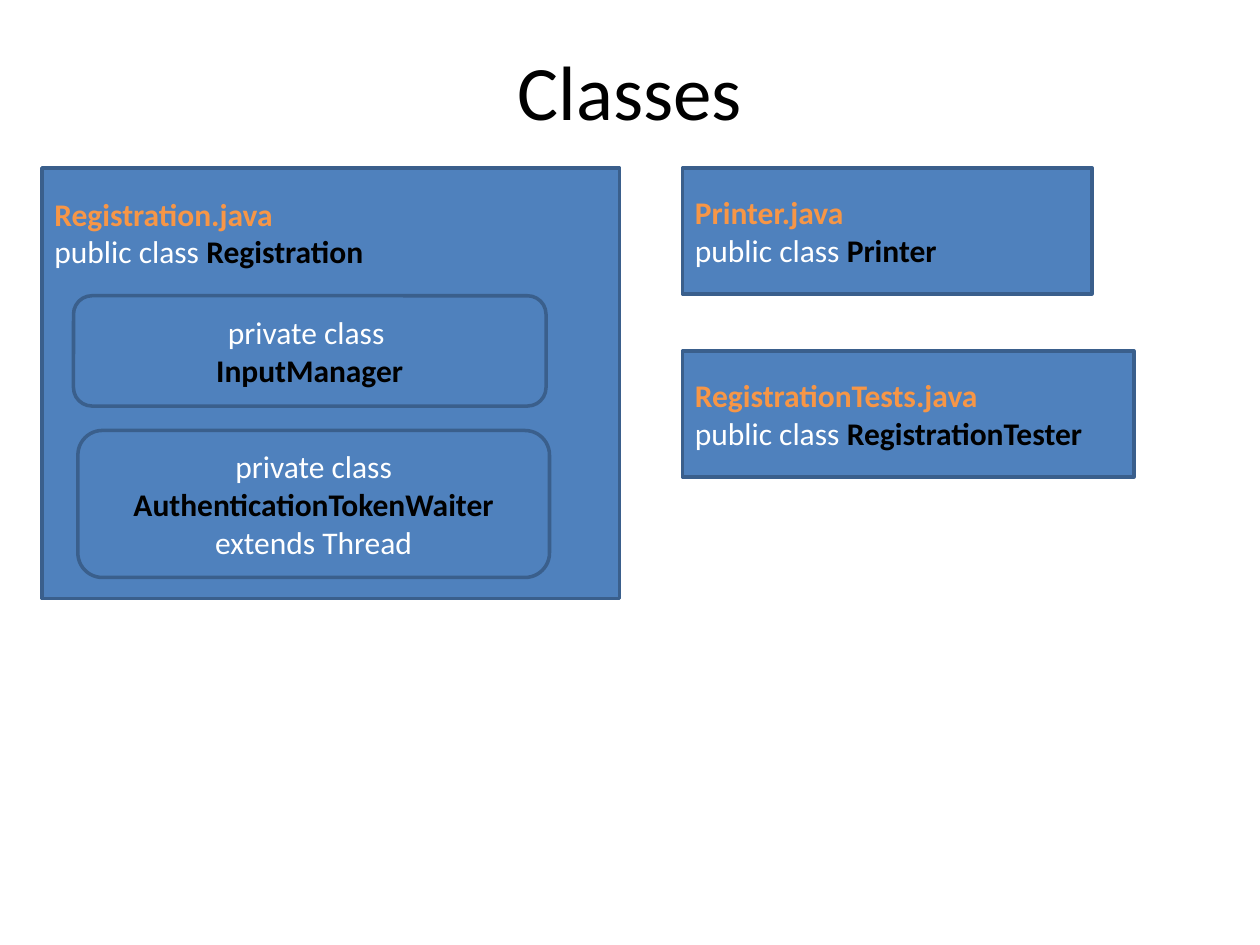
from dataclasses import dataclass

from pptx import Presentation
from pptx.dml.color import RGBColor
from pptx.enum.shapes import MSO_SHAPE as Shape
from pptx.enum.text import MSO_ANCHOR as Anchor, PP_ALIGN as Align
from pptx.slide import Slide
from pptx.text.text import TextFrame
from pptx.util import Pt

COLORS = {
    "title": "000000",
    "box": "4F81BD",
    "border": "3A5F8C",
    "file": "F79646",
    "code": "FFFFFF",
    "name": "000000",
}
BOLD = {"file", "name"}
Line = list[tuple[str, str]]


@dataclass
class ClassBox:
    left: float
    top: float
    width: float
    height: float
    lines: list[Line]
    shape: Shape = Shape.RECTANGLE
    align: Align = Align.LEFT
    anchor: Anchor = Anchor.MIDDLE
    top_inset: float = 3.6


def file_lines(file: str, name: str) -> list[Line]:
    return [[(file, "file")], [("public class ", "code"), (name, "name")]]


BOXES = [
    ClassBox(24, 96, 330, 246, file_lines("Registration.java", "Registration"),
             anchor=Anchor.TOP, top_inset=15.2),
    ClassBox(44.5, 246, 269.5, 84,
             [[("private class ", "code"), ("AuthenticationTokenWaiter", "name"),
               (" extends Thread", "code")]],
             Shape.ROUNDED_RECTANGLE, Align.CENTER),
    ClassBox(42, 169, 270, 63,
             [[("private class ", "code")], [("InputManager", "name")]],
             Shape.ROUNDED_RECTANGLE, Align.CENTER),
    ClassBox(390, 96, 234, 72, file_lines("Printer.java", "Printer")),
    ClassBox(390, 200.6, 258, 72,
             file_lines("RegistrationTests.java", "RegistrationTester")),
]


def write_lines(tf: TextFrame, lines: list[Line], size: float, align: Align) -> None:
    for i, line in enumerate(lines):
        p = tf.add_paragraph() if i else tf.paragraphs[0]
        p.alignment = align
        for text, style in line:
            r = p.add_run()
            r.text = text
            r.font.name = "Calibri"
            r.font.size = Pt(size)
            r.font.bold = style in BOLD
            r.font.color.rgb = RGBColor.from_string(COLORS[style])


def draw_title(s: Slide, text: str) -> None:
    tf = s.shapes.add_textbox(Pt(36), Pt(6), Pt(648), Pt(90)).text_frame
    tf.word_wrap = True
    tf.vertical_anchor = Anchor.MIDDLE
    write_lines(tf, [[(text, "title")]], 44, Align.CENTER)


def draw_box(s: Slide, box: ClassBox) -> None:
    sp = s.shapes.add_shape(box.shape, Pt(box.left), Pt(box.top),
                            Pt(box.width), Pt(box.height))
    sp.shadow.inherit = False
    sp.fill.solid()
    sp.fill.fore_color.rgb = RGBColor.from_string(COLORS["box"])
    sp.line.color.rgb = RGBColor.from_string(COLORS["border"])
    sp.line.width = Pt(2)
    tf = sp.text_frame
    tf.word_wrap = True
    tf.vertical_anchor = box.anchor
    tf.margin_top = Pt(box.top_inset)
    write_lines(tf, box.lines, 18, box.align)


def main() -> None:
    """Build the slide of the registration program's classes."""
    prs = Presentation()
    prs.slide_width, prs.slide_height = Pt(720), Pt(540)
    s = prs.slides.add_slide(prs.slide_layouts[6])
    draw_title(s, "Classes")
    for box in BOXES:
        draw_box(s, box)
    prs.save("out.pptx")


if __name__ == "__main__":
    main()
